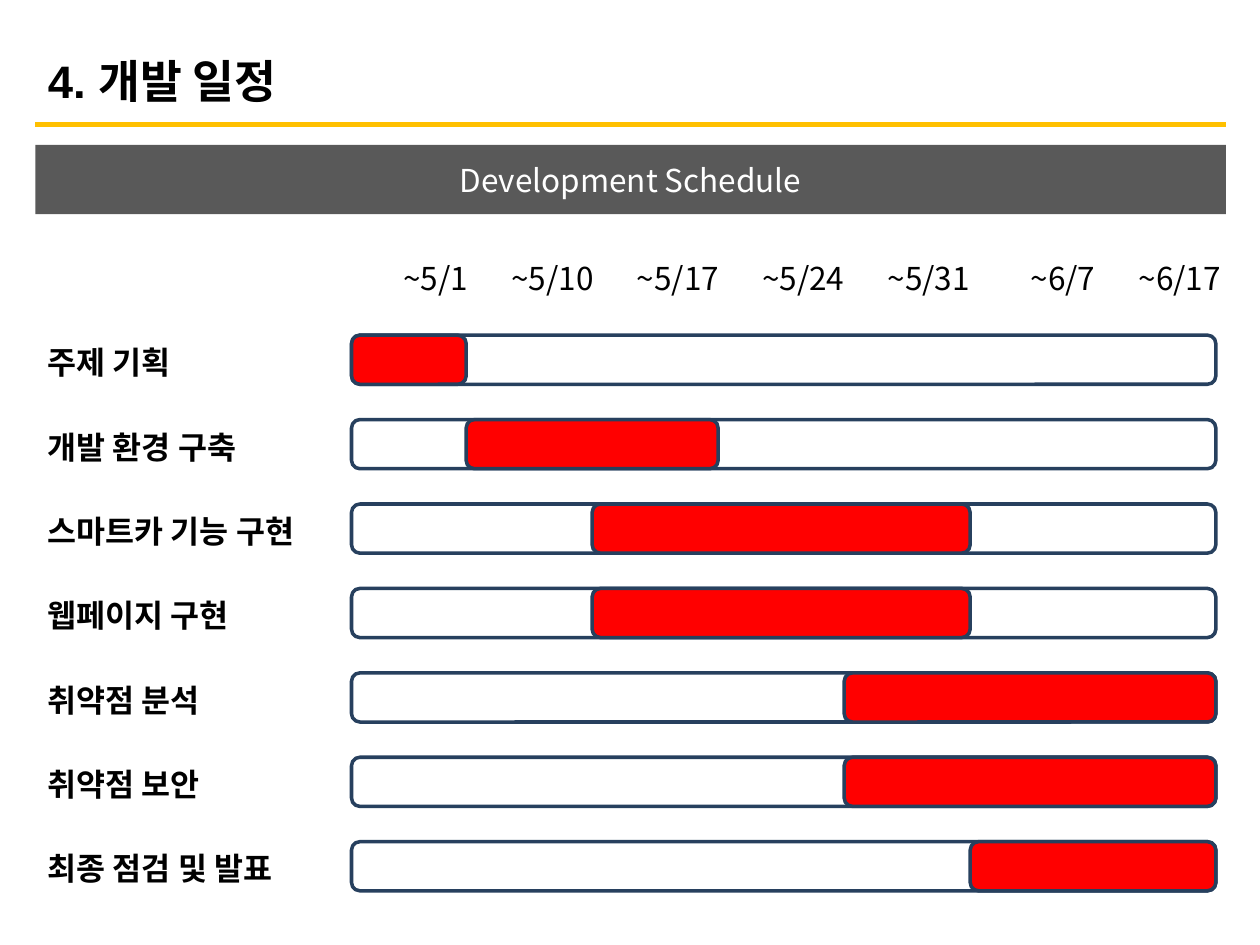
from dataclasses import dataclass

from lxml.etree import SubElement
from pptx import Presentation
from pptx.dml.color import RGBColor as Rgb
from pptx.enum.shapes import MSO_CONNECTOR as Link, MSO_SHAPE as Shape
from pptx.enum.text import MSO_ANCHOR as Anchor, PP_ALIGN as Align
from pptx.oxml.ns import qn
from pptx.util import Inches, Pt


@dataclass(frozen=True)
class Theme:
    """Hold the colours, fonts and sizes."""
    ink: str = "000000"
    paper: str = "FFFFFF"
    gold: str = "FFC000"
    gray: str = "595959"
    navy: str = "27405E"
    red: str = "FF0000"
    head: str = "Arial"
    body: str = "Noto Sans CJK KR"
    big: float = 26
    text: float = 18
    rule: float = 2.75
    edge: float = 2


LOOK = Theme()
DATES = ["~5/1", "~5/10", "~5/17", "~5/24", "~5/31", "~6/7", "~6/17"]
TASKS = [
    ("주제 기획", 0, 1),
    ("개발 환경 구축", 1, 3),
    ("스마트카 기능 구현", 2, 5),
    ("웹페이지 구현", 2, 5),
    ("취약점 분석", 4, 7),
    ("취약점 보안", 4, 7),
    ("최종 점검 및 발표", 5, 7),
]


def color(code):
    """Turn a hex code into a colour."""
    return Rgb.from_string(code)


def write(frame, text, size, tint, face=LOOK.body, bold=False, align=Align.LEFT):
    """Add one styled run to a text frame."""
    para = frame.paragraphs[0]
    para.alignment = align
    run = para.add_run()
    run.text = text
    font = run.font
    font.size, font.bold, font.name = Pt(size), bold, face
    font.color.rgb = color(tint)
    asian = SubElement(run._r.get_or_add_rPr(), qn("a:ea"))
    asian.set("typeface", LOOK.body)


def block(slide, kind, box, fill, line=None):
    """Draw a flat filled shape."""
    shape = slide.shapes.add_shape(kind, *map(Inches, box))
    shape.shadow.inherit = False
    shape.fill.solid()
    shape.fill.fore_color.rgb = color(fill)
    if line:
        shape.line.color.rgb = color(line)
        shape.line.width = Pt(LOOK.edge)
    else:
        shape.line.fill.background()
    return shape


def header(slide, box, text):
    """Place the title and the rule at its foot."""
    left, top, width, height = box
    title = slide.shapes.title
    title.left, title.top, title.width, title.height = map(Inches, box)
    title.text_frame.vertical_anchor = Anchor.MIDDLE
    write(title.text_frame, text, LOOK.big, LOOK.ink, LOOK.head, True)
    foot = Inches(top + height)
    rule = slide.shapes.add_connector(
        Link.STRAIGHT, Inches(left), foot, Inches(left + width), foot)
    rule.line.color.rgb = color(LOOK.gold)
    rule.line.width = Pt(LOOK.rule)
    SubElement(rule._element.spPr, qn("a:effectLst"))


def banner(slide, box, text):
    """Place the gray strip with its caption."""
    frame = block(slide, Shape.RECTANGLE, box, LOOK.gray).text_frame
    frame.vertical_anchor = Anchor.MIDDLE
    write(frame, text, LOOK.text, LOOK.paper, align=Align.CENTER)


def grid(slide, box):
    """Place the table of dates and tasks."""
    rows, cols = len(TASKS) + 1, len(DATES) + 1
    table = slide.shapes.add_table(rows, cols, *map(Inches, box)).table
    table.first_row = table.horz_banding = False
    first = 2.44
    for i, col in enumerate(table.columns):
        col.width = Inches((box[2] - first) / len(DATES) if i else first)
    for row in table.rows:
        row.height = Inches(box[3] / rows)
    for cell in table.iter_cells():
        cell.fill.solid()
        cell.fill.fore_color.rgb = color(LOOK.paper)
        cell.vertical_anchor = Anchor.MIDDLE
    for i, date in enumerate(DATES, 1):
        cell = table.cell(0, i)
        cell.margin_right = 0
        write(cell.text_frame, date, LOOK.text, LOOK.ink, align=Align.RIGHT)
    for i, (name, _, _) in enumerate(TASKS, 1):
        write(table.cell(i, 0).text_frame, name, LOOK.text, LOOK.ink, bold=True)


def bars(slide, box):
    """Draw a track and its active span for each task."""
    left, top, _, height = box
    step = height / (len(TASKS) + 1)
    last = len(DATES)
    stops = [2.51] + [min(2.42 + i, 9.37) for i in range(1, last + 1)]
    for i, (_, start, end) in enumerate(TASKS, 1):
        for low, high, fill in ((0, last, LOOK.paper), (start, end, LOOK.red)):
            span = (left + stops[low], top + i * step + 0.13,
                    stops[high] - stops[low], 0.39)
            bar = block(slide, Shape.ROUNDED_RECTANGLE, span, fill, LOOK.navy)
            bar.adjustments[0] = 0.17


def main():
    """Build and save the schedule slide."""
    deck = Presentation()
    deck.slide_width, deck.slide_height = Inches(10), Inches(7.5)
    slide = deck.slides.add_slide(deck.slide_layouts[5])
    header(slide, (0.28, 0.29, 9.45, 0.7), "4. 개발 일정")
    banner(slide, (0.28, 1.15, 9.45, 0.55), "Development Schedule")
    chart = (0.28, 1.86, 9.41, 5.36)
    grid(slide, chart)
    bars(slide, chart)
    deck.save("out.pptx")


if __name__ == "__main__":
    main()
